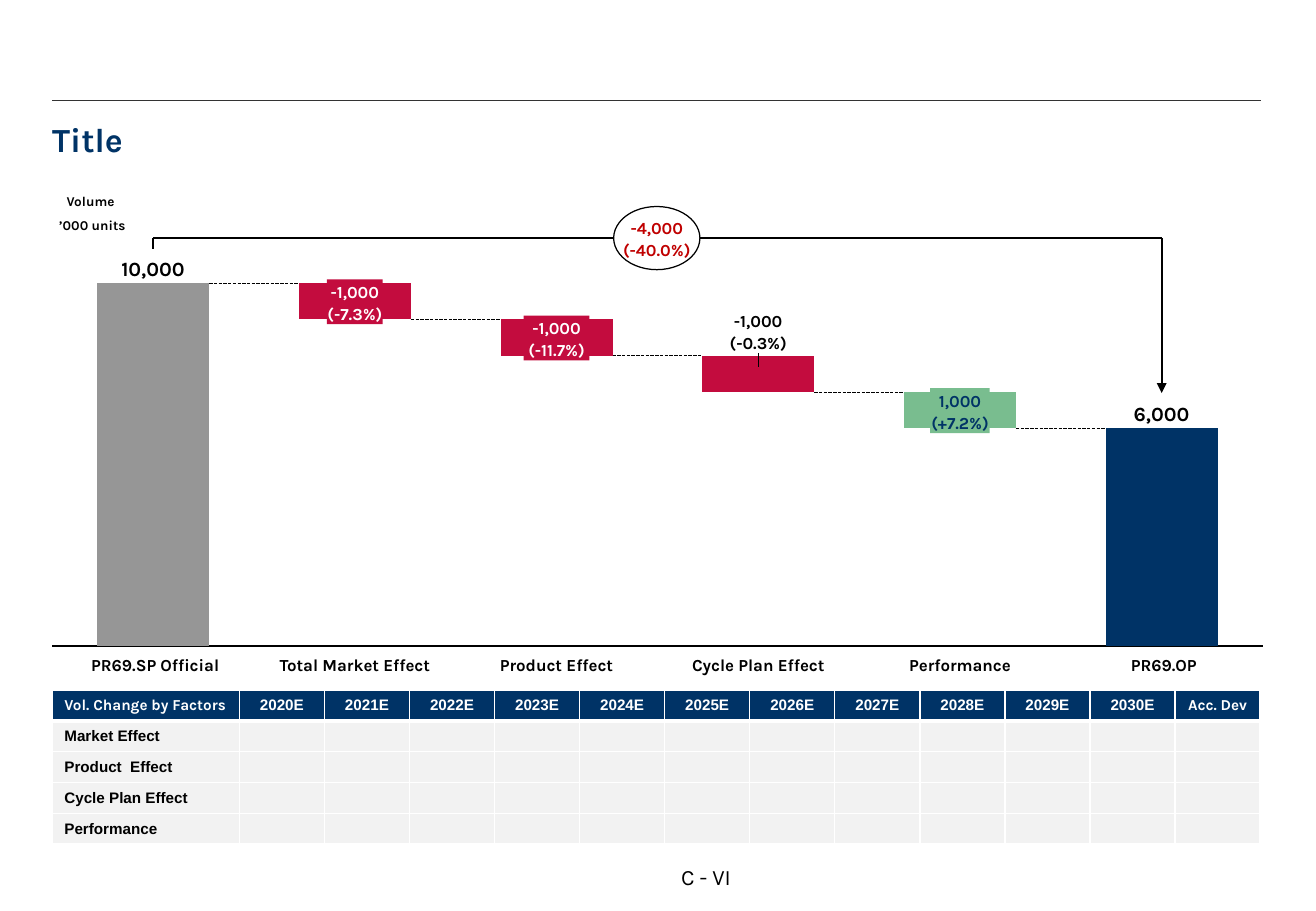
from lxml.etree import SubElement
from pptx import Presentation
from pptx.chart.data import CategoryChartData
from pptx.dml.color import RGBColor
from pptx.enum.chart import XL_CHART_TYPE, XL_TICK_LABEL_POSITION, XL_TICK_MARK
from pptx.enum.dml import MSO_LINE
from pptx.enum.shapes import MSO_CONNECTOR, MSO_SHAPE
from pptx.enum.text import MSO_ANCHOR, MSO_AUTO_SIZE, PP_ALIGN
from pptx.oxml.ns import qn
from pptx.util import Inches, Pt

COLORS = {"navy": "003366", "grey": "969696", "red": "C30C3E", "green": "79BD8F",
          "alert": "C00000", "black": "000000", "rule": "333333", "white": "FFFFFF",
          "cell": "F2F2F2"}
FACTORS = ["Market Effect", "Product  Effect", "Cycle Plan Effect", "Performance"]
YEARS = [f"{year}E" for year in range(2020, 2031)]
CATEGORIES = [" PR69.SP Official", "Total Market Effect", "Product Effect",
              "Cycle Plan Effect", "Performance", " PR69.OP"]
TOTALS = [100, 90, 80, 70, 60, 60]
CHANGES = [None, 10, 10, 10, 10, None]
CHANGE_LABELS = {1: ("-1,000\n(-7.3%)", 0.46, "red", "white"),
                 2: ("-1,000\n(-11.7%)", 0.54, "red", "white"),
                 4: ("1,000\n(+7.2%)", 0.49, "green", "navy")}


def rgb(name):
    """Return the named colour."""
    return RGBColor.from_string(COLORS[name])


def write(tf, text, size=10, color="black", bold=True, font="Karla",
          align=PP_ALIGN.CENTER, anchor=MSO_ANCHOR.TOP, spacing=None, before=0):
    """Fill a text frame with one formatted paragraph per line of text."""
    tf.vertical_anchor = anchor
    for i, line in enumerate(text.split("\n")):
        p = tf.add_paragraph() if i else tf.paragraphs[0]
        p.text = line
        p.alignment = align
        if spacing:
            p.line_spacing = spacing
        if i and before:
            p.space_before = Pt(before)
        for r in p.runs:
            r.font.size = Pt(size)
            r.font.bold = bold
            r.font.name = font
            r.font.color.rgb = rgb(color)


def set_margins(tf, x=0, y=0):
    """Set the side and the top and bottom insets of a frame or cell."""
    tf.margin_left = tf.margin_right = Inches(x)
    tf.margin_top = tf.margin_bottom = Inches(y)


def add_text(s, box, text, **fmt):
    """Add an unwrapped text box without insets."""
    sp = s.shapes.add_textbox(*map(Inches, box))
    tf = sp.text_frame
    set_margins(tf)
    tf.auto_size = MSO_AUTO_SIZE.NONE
    tf.word_wrap = False
    write(tf, text, **fmt)
    return sp


def add_shape(s, kind, box, fill, text, line=None, **fmt):
    """Add a filled preset shape with centred text."""
    sp = s.shapes.add_shape(kind, *map(Inches, box))
    sp.shadow.inherit = False
    sp.fill.solid()
    sp.fill.fore_color.rgb = rgb(fill)
    if line:
        sp.line.color.rgb = rgb(line)
        sp.line.width = Pt(0.75)
    else:
        sp.line.fill.background()
    set_margins(sp.text_frame)
    sp.text_frame.word_wrap = False
    write(sp.text_frame, text, anchor=MSO_ANCHOR.MIDDLE, spacing=1.1, **fmt)
    return sp


def add_line(s, start, end, width=1, color="black", dash=None, arrow=False):
    """Add a straight connector, dashed or with an arrowhead if asked."""
    cx = s.shapes.add_connector(MSO_CONNECTOR.STRAIGHT, *map(Inches, start + end))
    cx.line.color.rgb = rgb(color)
    cx.line.width = Pt(width)
    if dash:
        cx.line.dash_style = dash
    if arrow:
        SubElement(cx.line._get_or_add_ln(), qn("a:tailEnd"), type="triangle")
    SubElement(cx._element.spPr, qn("a:effectLst"))
    return cx


def add_frame(s, box):
    """Place the top rule, the title and the page number."""
    x, y, w, h = box
    add_line(s, (x, y), (x + w, y), 0.75, "rule")
    title = s.shapes.title
    title.left, title.top, title.width, title.height = map(Inches, (x, y + 0.15, w, 0.75))
    set_margins(title.text_frame)
    write(title.text_frame, "Title", size=20, color="navy", align=PP_ALIGN.LEFT)
    add_text(s, (x + 4.28, y + h, 2.2, 0.2), "C - VI", size=13, bold=False,
             anchor=MSO_ANCHOR.MIDDLE)


def add_columns(s, box):
    """Draw the stacked columns so that the plot area fills the box."""
    x, y, w, h = box
    pad = 0.09
    data = CategoryChartData()
    data.categories = [str(i + 1) for i in range(len(TOTALS))]
    data.add_series("Series 1", TOTALS)
    data.add_series("Series 2", CHANGES)
    fw, fh = w + 2 * pad, h + 2 * pad
    chart = s.shapes.add_chart(XL_CHART_TYPE.COLUMN_STACKED,
                               *map(Inches, (x - pad, y - pad, fw, fh)), data).chart
    chart.has_legend = chart.has_title = False
    chart.font.size = Pt(10)
    chart.font.name = "Karla"
    chart.font.color.rgb = rgb("black")
    cat, val = chart.category_axis, chart.value_axis
    cat.tick_label_position = XL_TICK_LABEL_POSITION.NONE
    cat.major_tick_mark = XL_TICK_MARK.NONE
    cat.format.line.color.rgb = rgb("black")
    cat.format.line.width = Pt(0.75)
    val.visible = val.has_major_gridlines = False
    val.minimum_scale, val.maximum_scale = 0, 100
    plot = chart.plots[0]
    plot.gap_width, plot.overlap, plot.vary_by_categories = 80, 100, False
    totals, changes = plot.series
    totals.format.fill.background()
    changes.format.fill.solid()
    changes.format.fill.fore_color.rgb = rgb("red")
    for series, i, color in ((totals, 0, "grey"), (totals, 5, "navy"), (changes, 4, "green")):
        fill = series.points[i].format.fill
        fill.solid()
        fill.fore_color.rgb = rgb(color)
    area = chart._chartSpace.chart.plotArea
    for old in area.findall(qn("c:layout")):
        area.remove(old)
    layout = SubElement(area, qn("c:layout"))
    area.insert(0, layout)
    manual = SubElement(layout, qn("c:manualLayout"))
    for tag, value in (("layoutTarget", "inner"), ("xMode", "edge"), ("yMode", "edge"),
                       ("x", pad / fw), ("y", pad / fh), ("w", w / fw), ("h", h / fh)):
        SubElement(manual, qn(f"c:{tag}"), val=str(value))


def add_waterfall(s, box):
    """Place the waterfall with its steps, labels and overall change."""
    x, y, w, h = box
    slot = w / len(TOTALS)
    half = slot / 1.8 / 2
    centers = [x + slot * (i + 0.5) for i in range(len(TOTALS))]
    levels = [y + h * (1 - total / 100) for total in TOTALS]
    tops = [y + h * (1 - (t + (c or 0)) / 100) for t, c in zip(TOTALS, CHANGES)]
    for i, level in enumerate(levels[:-1]):
        add_line(s, (centers[i] + half, level), (centers[i + 1] - half, level),
                 0.25, dash=MSO_LINE.LONG_DASH)
    add_columns(s, box)

    bar_y = y - 0.37
    first, last = centers[0], centers[-1]
    add_line(s, (first, bar_y + 0.09), (first, bar_y))
    add_line(s, (first, bar_y), (last, bar_y))
    add_line(s, (last, bar_y), (last, levels[-1] - 0.29), arrow=True)
    add_shape(s, MSO_SHAPE.OVAL, (x + w / 2 - 0.36, bar_y - 0.26, 0.71, 0.52), "white",
              "-4,000\n(-40.0%)", line="black", color="alert")

    for center, name in zip(centers, CATEGORIES):
        add_text(s, (center - 0.65, y + h + 0.05, 1.3, 0.18), name, spacing=1.1)
    for i, (text, width, fill, color) in CHANGE_LABELS.items():
        middle = (tops[i] + levels[i]) / 2
        add_shape(s, MSO_SHAPE.RECTANGLE, (centers[i] - width / 2, middle - 0.18, width, 0.37),
                  fill, text, color=color)
    above = {}
    for i, text, size, height in ((0, "10,000", 12, 0.22), (3, "-1,000\n(-0.3%)", 10, 0.37),
                                  (5, "6,000", 12, 0.22)):
        above[i] = add_text(s, (centers[i] - 0.28, tops[i] - 0.02 - height, 0.56, height),
                            text, size=size, anchor=MSO_ANCHOR.BOTTOM, spacing=1.1)
    leader = add_line(s, (centers[3], tops[3] - 0.02), (centers[3], tops[3] + 0.09), 0.5)
    leader.begin_connect(above[3], 2)
    add_text(s, (x - 0.03, y - 0.74, 0.72, 0.23), "Volume \n’000 units", size=8, before=4.5)


def format_cell(cell, fill, top, bottom):
    """Give a cell its white borders, fill and insets."""
    tcPr = cell._tc.get_or_add_tcPr()
    for side, width in (("L", 1), ("R", 1), ("T", top), ("B", bottom)):
        ln = SubElement(tcPr, qn(f"a:ln{side}"), w=str(Pt(width)))
        SubElement(SubElement(ln, qn("a:solidFill")), qn("a:srgbClr"), val=COLORS["white"])
    cell.fill.solid()
    cell.fill.fore_color.rgb = rgb(fill)
    cell.vertical_anchor = MSO_ANCHOR.MIDDLE
    set_margins(cell, 0.01, 0.01)


def add_factor_table(s, box):
    """Place the table of volume change by factor and year."""
    header = ["Vol. Change by Factors", *YEARS, "Acc. Dev"]
    rows = [header] + [[name] + [""] * (len(header) - 1) for name in FACTORS]
    table = s.shapes.add_table(len(rows), len(header), *map(Inches, box)).table
    table.first_row = table.horz_banding = False
    for j, column in enumerate(table.columns):
        column.width = Inches(0.7 if j else 1.54)
    for i, row in enumerate(rows):
        table.rows[i].height = Inches(box[3] / len(rows))
        for j, text in enumerate(row):
            cell = table.cell(i, j)
            format_cell(cell, "cell" if i else "navy", 3 if i == 1 else 1, 1 if i else 3)
            if not j:
                cell.margin_left = Inches(0.1)
            if text:
                write(cell.text_frame, text, size=9, color="black" if i else "white",
                      font="Arial" if i or text in YEARS else "Karla",
                      align=PP_ALIGN.CENTER if j else PP_ALIGN.LEFT)
            else:
                p = cell.text_frame.paragraphs[0]
                p._p.get_or_add_endParaRPr().set("sz", "900")


def main():
    """Build the slide and save it."""
    prs = Presentation()
    prs.slide_width, prs.slide_height = Inches(10.83), Inches(7.5)
    s = prs.slides.add_slide(prs.slide_layouts[5])
    add_frame(s, (0.43, 0.83, 9.95, 6.29))
    add_waterfall(s, (0.43, 2.33, 9.96, 2.99))
    add_factor_table(s, (0.43, 5.68, 9.95, 1.27))
    prs.save("out.pptx")


if __name__ == "__main__":
    main()
